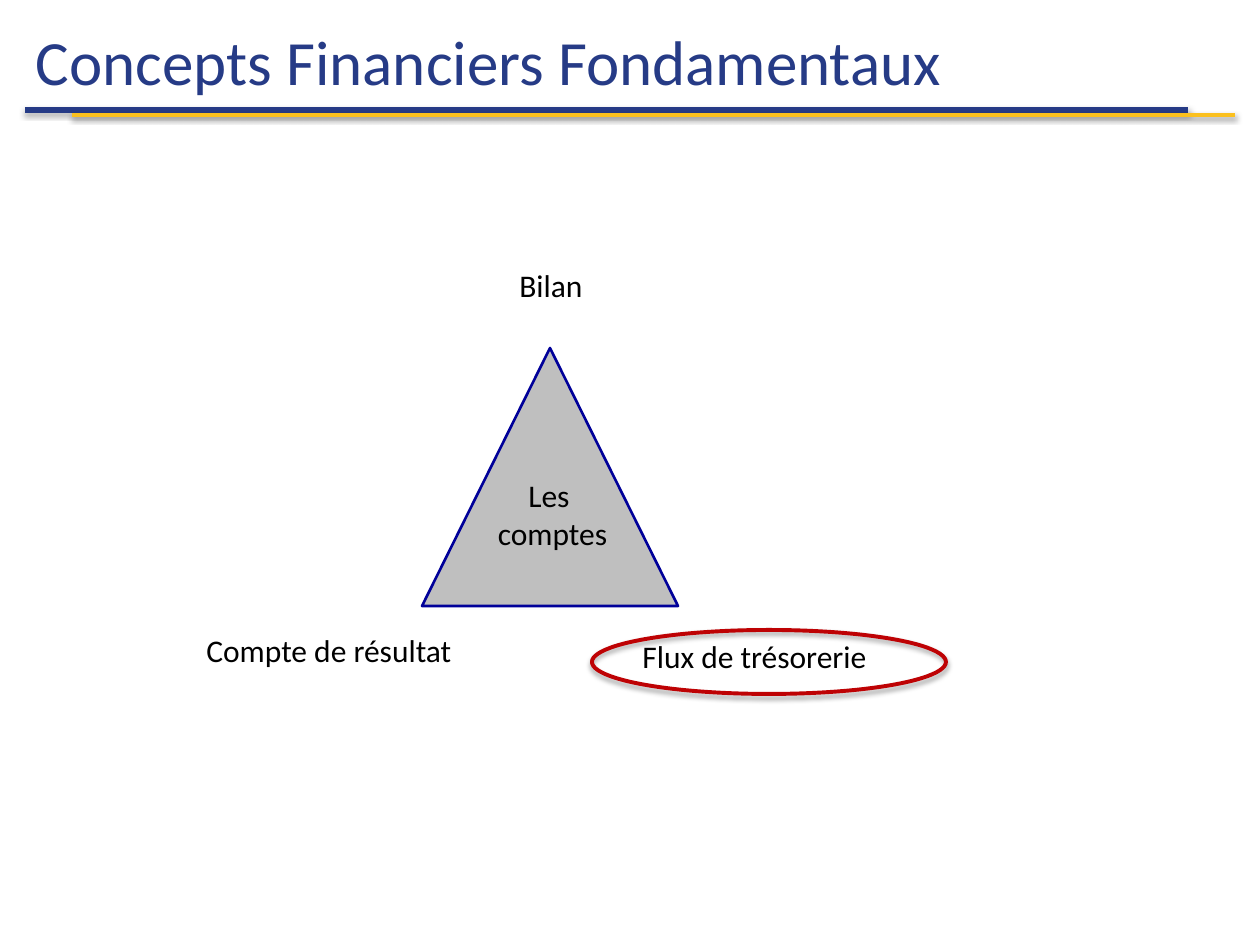
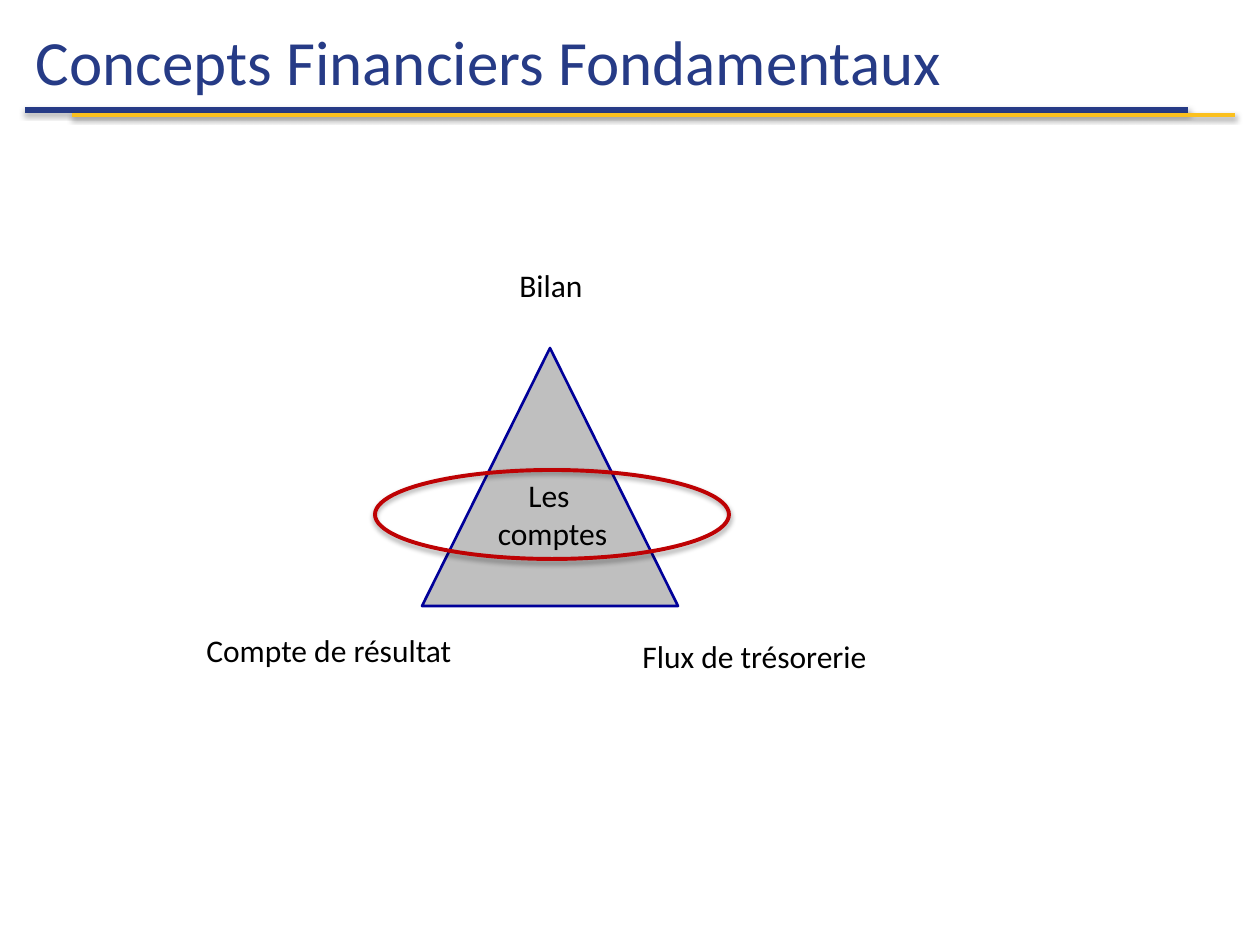
from typing import NamedTuple

from lxml.etree import SubElement
from pptx import Presentation
from pptx.dml.color import RGBColor
from pptx.enum.shapes import MSO_CONNECTOR, MSO_SHAPE
from pptx.enum.text import MSO_ANCHOR, MSO_AUTO_SIZE, PP_ALIGN
from pptx.oxml.ns import qn
from pptx.shapes.base import BaseShape
from pptx.shapes.autoshape import Shape
from pptx.slide import Slide
from pptx.util import Emu, Pt

PX_PER_INCH = 126
FONT = "Calibri"
COLORS = {
    "navy": "263B86",
    "gold": "FBC01E",
    "grey": "BFBFBF",
    "outline": "000099",
    "red": "BE0204",
    "black": "000000",
}


class Area(NamedTuple):
    left: int
    top: int
    width: int
    height: int


class Rule(NamedTuple):
    left: int
    y: int
    color: str
    weight: float


class Label(NamedTuple):
    area: Area
    lines: tuple[str, ...]
    align: PP_ALIGN = PP_ALIGN.LEFT
    size: int = 18
    color: str = "black"


RULE_LENGTH = 1163
RULES = (Rule(25, 110, "navy", 3), Rule(72, 115, "gold", 2))
TITLE = Label(Area(0, 3, 1260, 115), ("Concepts Financiers Fondamentaux",),
              size=36, color="navy")
TITLE_INSET = 36

TRIANGLE = Area(422, 348, 256, 258)
CORNERS = (
    Label(Area(478, 260, 146, 50), ("Bilan",), PP_ALIGN.CENTER),
    Label(Area(194, 625, 377, 79), ("Compte de résultat",)),
    Label(Area(630, 631, 373, 79), ("Flux de trésorerie",)),
)
CENTRE = Label(Area(461, 470, 183, 89), ("Les ", "comptes"), PP_ALIGN.CENTER)

CASH_FLOW_RING = Area(592, 630, 354, 64)
ACCOUNTS_RING = Area(375, 470, 354, 89)


def px(length: int) -> Emu:
    return Emu(round(length * 914400 / PX_PER_INCH))


def rgb(name: str) -> RGBColor:
    return RGBColor.from_string(COLORS[name])


def set_line(shape: BaseShape, color: str, weight: float) -> None:
    shape.line.color.rgb = rgb(color)
    shape.line.width = Pt(weight)


def add_shadow(shape: BaseShape, distance: float, opacity: int) -> None:
    """Cast a soft black shadow straight down; call once the line is set."""
    effects = SubElement(shape._element.spPr, qn("a:effectLst"))
    shadow = SubElement(effects, qn("a:outerShdw"), blurRad=str(Pt(3.1)),
                        dist=str(Pt(distance)), dir="5400000", rotWithShape="0")
    color = SubElement(shadow, qn("a:srgbClr"), val=COLORS["black"])
    SubElement(color, qn("a:alpha"), val=str(opacity * 1000))


def add_label(slide: Slide, label: Label) -> Shape:
    box = slide.shapes.add_textbox(*map(px, label.area))
    frame = box.text_frame
    frame.word_wrap = True
    frame.auto_size = MSO_AUTO_SIZE.SHAPE_TO_FIT_TEXT
    frame.text = "\n".join(label.lines)
    for para in frame.paragraphs:
        para.alignment = label.align
        para.font.name = FONT
        para.font.size = Pt(label.size)
        para.font.color.rgb = rgb(label.color)
    return box


def add_header(slide: Slide) -> None:
    for rule in RULES:
        line = slide.shapes.add_connector(
            MSO_CONNECTOR.STRAIGHT, px(rule.left), px(rule.y),
            px(rule.left + RULE_LENGTH), px(rule.y))
        set_line(line, rule.color, rule.weight)
        add_shadow(line, 1.6, 38)
    frame = add_label(slide, TITLE).text_frame
    frame.auto_size = MSO_AUTO_SIZE.NONE
    frame.vertical_anchor = MSO_ANCHOR.MIDDLE
    frame.margin_left = px(TITLE_INSET)


def add_triangle(slide: Slide) -> None:
    triangle = slide.shapes.add_shape(MSO_SHAPE.ISOSCELES_TRIANGLE,
                                      *map(px, TRIANGLE))
    triangle.shadow.inherit = False
    triangle.fill.solid()
    triangle.fill.fore_color.rgb = rgb("grey")
    set_line(triangle, "outline", 1.5)


def add_ring(slide: Slide, area: Area) -> None:
    ring = slide.shapes.add_shape(MSO_SHAPE.OVAL, *map(px, area))
    ring.fill.background()
    set_line(ring, "red", 2.25)
    add_shadow(ring, 1.8, 35)


def main() -> None:
    deck = Presentation()
    deck.slide_width, deck.slide_height = px(1260), px(945)
    for ring_area in (CASH_FLOW_RING, ACCOUNTS_RING):
        page = deck.slides.add_slide(deck.slide_layouts[6])
        add_header(page)
        add_triangle(page)
        for corner in CORNERS:
            add_label(page, corner)
        add_ring(page, ring_area)
        add_label(page, CENTRE)
    deck.save("out.pptx")


if __name__ == "__main__":
    main()
